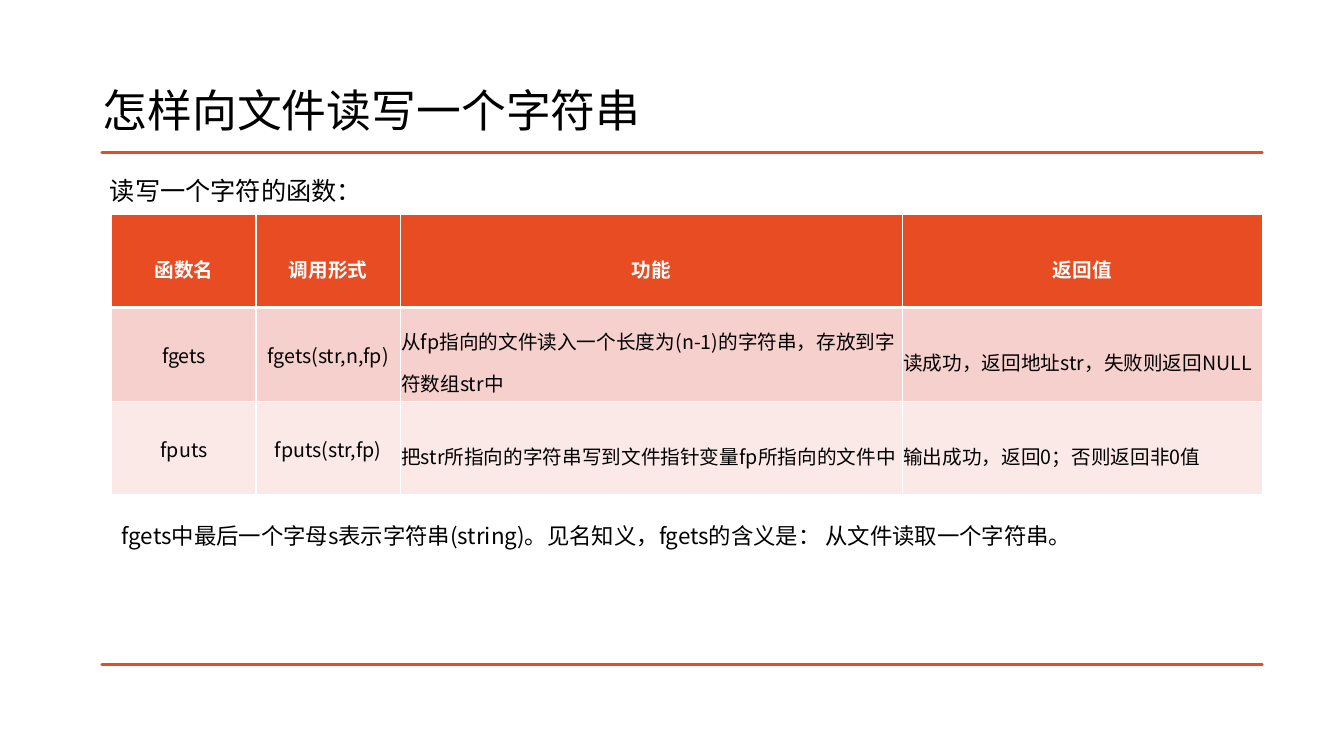
from lxml import etree
from pptx import Presentation
from pptx.dml.color import RGBColor
from pptx.enum import text
from pptx.oxml import ns
from pptx.util import Inches, Pt

FONT = "Noto Sans CJK SC"
RED, WHITE, BLACK = "E84C22", "FFFFFF", "000000"
FILLS = [RED, "F6D0CD", "FBE9E8"]
COLS = [1.43, 1.43, 4.98, 3.57]
ROWS = [0.92, 0.93, 0.93]
CELLS = [
    ["函数名", "调用形式", "功能", "返回值"],
    ["fgets", "fgets(str,n,fp)",
     "从fp指向的文件读入一个长度为(n-1)的字符串，存放到字符数组str中",
     "读成功，返回地址str，失败则返回NULL"],
    ["fputs", "fputs(str,fp)",
     "把str所指向的字符串写到文件指针变量fp所指向的文件中",
     "输出成功，返回0；否则返回非0值"],
]
LEFT, MID = text.PP_ALIGN.LEFT, text.PP_ALIGN.CENTER


def color(code):
    return RGBColor.from_string(code)


def write(frame, words, size, space=1.5, align=LEFT, ink=BLACK, bold=False):
    para = frame.paragraphs[0]
    para.alignment = align
    para.line_spacing = space
    run = para.add_run()
    run.text = words
    font = run.font
    font.name, font.size, font.bold = FONT, Pt(size), bold
    font.color.rgb = color(ink)
    east = etree.SubElement(run._r.get_or_add_rPr(), ns.qn("a:ea"))
    east.set("typeface", FONT)


def label(slide, box, words, size, space, anchor):
    frame = slide.shapes.add_textbox(*map(Inches, box)).text_frame
    frame.word_wrap = True
    frame.vertical_anchor = anchor
    write(frame, words, size, space)


def rules(slide, box, words):
    """Draw the top and bottom rules, with the lead-in text below the top one."""
    x, y, w, h = map(Inches, box)
    pen = slide.shapes.build_freeform(x, y + h)
    pen.add_line_segments([(x + w, y + h), (x, y + h)], close=True)
    pen.move_to(x, y)
    pen.add_line_segments([(x + w, y), (x, y)], close=True)
    shape = pen.convert_to_shape()
    shape.shadow.inherit = False
    shape.fill.background()
    shape.line.color.rgb = color(RED)
    shape.line.width = Pt(2)
    frame = shape.text_frame
    frame.word_wrap = True
    frame.vertical_anchor = text.MSO_ANCHOR.TOP
    frame.margin_left = frame.margin_right = Inches(0.08)
    frame.margin_top = frame.margin_bottom = Inches(0.08)
    write(frame, words, 18, align=text.PP_ALIGN.JUSTIFY)


def border(cell, widths):
    """Add white lines, with widths in points by side."""
    props = cell._tc.get_or_add_tcPr()
    for spot, (side, width) in enumerate(widths.items()):
        line = etree.Element(ns.qn("a:ln" + side), w=str(Pt(width)))
        fill = etree.SubElement(line, ns.qn("a:solidFill"))
        etree.SubElement(fill, ns.qn("a:srgbClr"), val=WHITE)
        props.insert(spot, line)


def grid(slide, box):
    frame = slide.shapes.add_table(len(ROWS), len(COLS), *map(Inches, box))
    table = frame.table
    for col, width in zip(table.columns, COLS):
        col.width = Inches(width)
    for row, height in zip(table.rows, ROWS):
        row.height = Inches(height)
    for r, words in enumerate(CELLS):
        head = r == 0
        for c, word in enumerate(words):
            cell = table.cell(r, c)
            cell.fill.solid()
            cell.fill.fore_color.rgb = color(FILLS[r])
            border(cell, {"L": 1, "R": 1, "T": 3 if r == 1 else 1,
                          "B": 3 if head else 1})
            cell.vertical_anchor = text.MSO_ANCHOR.MIDDLE
            cell.margin_left = cell.margin_right = Inches(0.01)
            cell.margin_top, cell.margin_bottom = Inches(0.01), 0
            name = c < 2
            write(cell.text_frame, word, 14,
                  space=1 if name and not head else 1.5,
                  align=MID if head or name else LEFT,
                  ink=WHITE if head else BLACK, bold=head)


def main():
    deck = Presentation()
    deck.slide_width, deck.slide_height = Inches(13.33), Inches(7.5)
    slide = deck.slides.add_slide(deck.slide_layouts[6])
    label(slide, (0.92, 0.4, 11.5, 1.45), "怎样向文件读写一个字符串",
          32, 0.9, text.MSO_ANCHOR.MIDDLE)
    rules(slide, (1.01, 1.51, 11.51, 5.08), "读写一个字符的函数：")
    grid(slide, (1.11, 2.13, sum(COLS), sum(ROWS)))
    label(slide, (1.11, 5, 11.41, 0.46),
          "fgets中最后一个字母s表示字符串(string)。见名知义，"
          "fgets的含义是： 从文件读取一个字符串。",
          16, 1.5, text.MSO_ANCHOR.TOP)
    deck.save("out.pptx")


if __name__ == "__main__":
    main()
